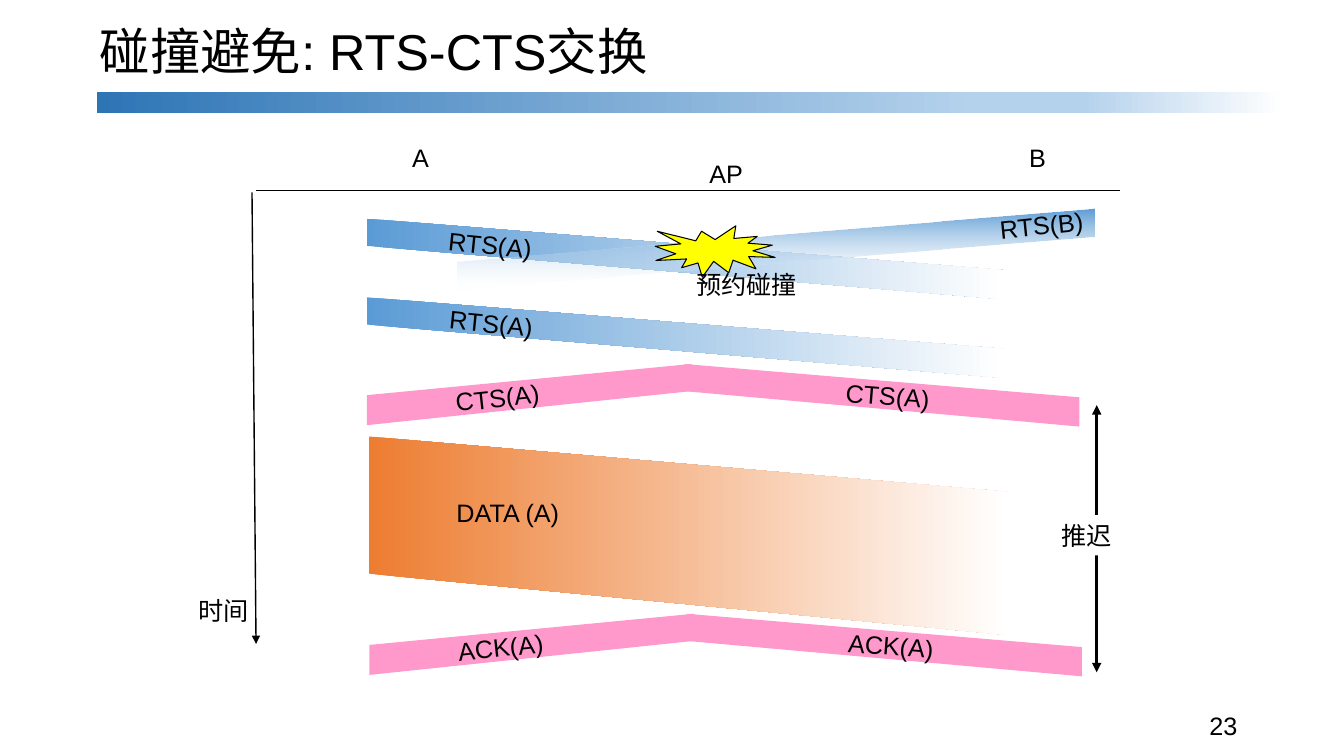
"""Build the slide on collision avoidance with the RTS-CTS exchange."""
from lxml import etree
from pptx import Presentation
from pptx.dml.color import RGBColor
from pptx.enum.shapes import MSO_CONNECTOR, MSO_SHAPE
from pptx.enum.text import MSO_ANCHOR, MSO_AUTO_SIZE, PP_ALIGN
from pptx.oxml.ns import qn
from pptx.util import Pt

STRAIGHT = MSO_CONNECTOR.STRAIGHT
RECTANGLE, BURST = MSO_SHAPE.RECTANGLE, MSO_SHAPE.EXPLOSION1
TOP, LEFT = MSO_ANCHOR.TOP, PP_ALIGN.LEFT
FIT_SHAPE, NO_FIT = MSO_AUTO_SIZE.SHAPE_TO_FIT_TEXT, MSO_AUTO_SIZE.NONE
BLACK = RGBColor(0x00, 0x00, 0x00)
WHITE = RGBColor(0xFF, 0xFF, 0xFF)
YELLOW = RGBColor(0xFF, 0xFF, 0x00)
PINK = RGBColor(0xFF, 0x99, 0xCC)
BLUE = RGBColor(0x5B, 0x9B, 0xD5)
ORANGE = RGBColor(0xED, 0x7D, 0x31)
DEEP_BLUE = RGBColor(0x2E, 0x75, 0xB6)
PALE_BLUE = RGBColor(0xB5, 0xD2, 0xEC)


class TimingSlide:
    """Hold the style and the slide, and draw each kind of element."""

    font_name = "Arial"
    label_size = 18
    label_height = 28.8

    def __init__(self, presentation):
        """Add a slide with a title."""
        self.slide = presentation.slides.add_slide(presentation.slide_layouts[5])
        self.shapes = self.slide.shapes

    def add_text(self, shape, text, size):
        """Put one left-aligned run of text in a shape."""
        frame = shape.text_frame
        frame.vertical_anchor = TOP
        paragraph = frame.paragraphs[0]
        paragraph.alignment = LEFT
        run = paragraph.add_run()
        run.text = text
        run.font.name = self.font_name
        run.font.size = Pt(size)
        run.font.color.rgb = BLACK
        return paragraph

    def title(self, text, left, top, width, height):
        """Place and fill the title placeholder."""
        shape = self.shapes.title
        shape.left, shape.top = Pt(left), Pt(top)
        shape.width, shape.height = Pt(width), Pt(height)
        shape.text_frame.auto_size = NO_FIT
        self.add_text(shape, text, 36).line_spacing = 0.9

    def label(self, text, left, top, width, rotation=0, wrap=False):
        """Add a text label."""
        box = self.shapes.add_textbox(Pt(left), Pt(top), Pt(width), Pt(self.label_height))
        box.rotation = rotation
        box.text_frame.word_wrap = wrap
        box.text_frame.auto_size = FIT_SHAPE
        self.add_text(box, text, self.label_size)

    def gradient(self, shape, stops, angle=0):
        """Fill a shape with (position, colour, opacity) stops."""
        shape.fill.gradient()
        shape.fill.gradient_angle = angle
        stop_list = next(shape._element.iter(qn("a:gsLst")))
        stop_list.clear()
        for position, color, opacity in stops:
            stop = etree.SubElement(stop_list, qn("a:gs"), pos=str(position * 1000))
            value = etree.SubElement(stop, qn("a:srgbClr"), val=str(color))
            if opacity < 100:
                etree.SubElement(value, qn("a:alpha"), val=str(opacity * 1000))

    def block(self, kind, left, top, width, height, color=None, outline=None):
        """Add a preset shape."""
        shape = self.shapes.add_shape(kind, Pt(left), Pt(top), Pt(width), Pt(height))
        shape.shadow.inherit = False
        if color is not None:
            shape.fill.solid()
            shape.fill.fore_color.rgb = color
        if outline:
            shape.line.color.rgb = BLACK
            shape.line.width = Pt(outline)
        else:
            shape.line.fill.background()
        return shape

    def band(self, start, end, color, fade=False, angle=0, opacity=100):
        """Add a slanted band between two (x, top, height) edges."""
        (x1, y1, height1), (x2, y2, height2) = start, end
        corners = [(x2, y2), (x2, y2 + height2), (x1, y1 + height1)]
        builder = self.shapes.build_freeform(Pt(x1), Pt(y1), 1.0)
        builder.add_line_segments([(Pt(x), Pt(y)) for x, y in corners], close=True)
        shape = builder.convert_to_shape()
        shape.shadow.inherit = False
        shape.line.fill.background()
        if fade:
            self.gradient(shape, [(0, color, 100), (100, WHITE, opacity)], angle)
        else:
            shape.fill.solid()
            shape.fill.fore_color.rgb = color

    def reply(self, text, left, top):
        """Add a frame that spreads from the access point to both stations."""
        self.band((left + 226.8, top, 19.4), (left + 509, top + 23.8, 20.9), PINK)
        self.band((left + 232, top, 19.4), (left, top + 22.3, 21.4), PINK)
        self.label(text, left + 56.2, top + 9.4, 76, 353.7)
        self.label(text, left + 335, top + 8.3, 76, 4.6)

    def line(self, start, end, width, *arrow_ends):
        """Add a straight line with optional arrowheads."""
        connector = self.shapes.add_connector(STRAIGHT, *(Pt(n) for n in start + end))
        connector.line.color.rgb = BLACK
        connector.line.width = Pt(width)
        properties = connector._element.spPr
        for arrow_end in arrow_ends:
            etree.SubElement(properties.find(qn("a:ln")), qn(arrow_end), type="triangle")
        etree.SubElement(properties, qn("a:effectLst"))


def main():
    """Draw the slide and save it."""
    presentation = Presentation()
    presentation.slide_width, presentation.slide_height = Pt(960), Pt(540)
    timing = TimingSlide(presentation)
    timing.title("碰撞避免: RTS-CTS交换", 64, 15.8, 612, 90)
    timing.label("23", 856.8, 504, 71, wrap=True)

    timing.line((180, 137.5), (182.9, 460), 1, "a:tailEnd")
    timing.label("时间", 134.6, 421.9, 50.4)

    rts_top, retry_top = 156.2, 212.4
    for top in (rts_top, retry_top):
        timing.band((262, top, 19.5), (717, top + 36.8, 20.8), BLUE, fade=True)
    timing.band((782, 149, 20.2), (327, 186.5, 20.2), BLUE, fade=True, angle=270, opacity=6)
    for left, top in ((313.2, rts_top), (314, retry_top)):
        timing.label("RTS(A)", left, top + 4.3, 77, 5.9)
    timing.label("RTS(B)", 707, 146.2, 75, 354.1)

    timing.reply("CTS(A)", 262, 260)
    timing.band((263.5, 311.8, 98), (720, 351.4, 102.2), ORANGE, fade=True)
    timing.label("DATA (A)", 319, 352, 141.8, wrap=True)
    timing.reply("ACK(A)", 263.8, 438.4)

    timing.block(BURST, 468, 161.3, 85.7, 36.7, YELLOW, 0.75)
    timing.label("预约碰撞", 490.3, 188.6, 222.5, wrap=True)

    timing.line((783.4, 289.4), (783.4, 480.2), 2.25, "a:headEnd", "a:tailEnd")
    timing.block(RECTANGLE, 751, 368, 50.4, 28.8, WHITE)
    timing.label("推迟", 751, 368, 50.4)

    title_bar = timing.block(RECTANGLE, 69, 65.5, 849, 15)
    timing.gradient(title_bar, [(0, DEEP_BLUE, 100), (74, PALE_BLUE, 100),
                                (83, PALE_BLUE, 100), (100, WHITE, 100)])

    timing.label("AP", 499.7, 109.4, 38.9)
    timing.label("A", 287.3, 98, 27.4)
    timing.label("B", 728, 98, 26.6)
    timing.line((182.9, 136), (800, 136), 0.75)
    presentation.save("out.pptx")


if __name__ == "__main__":
    main()
